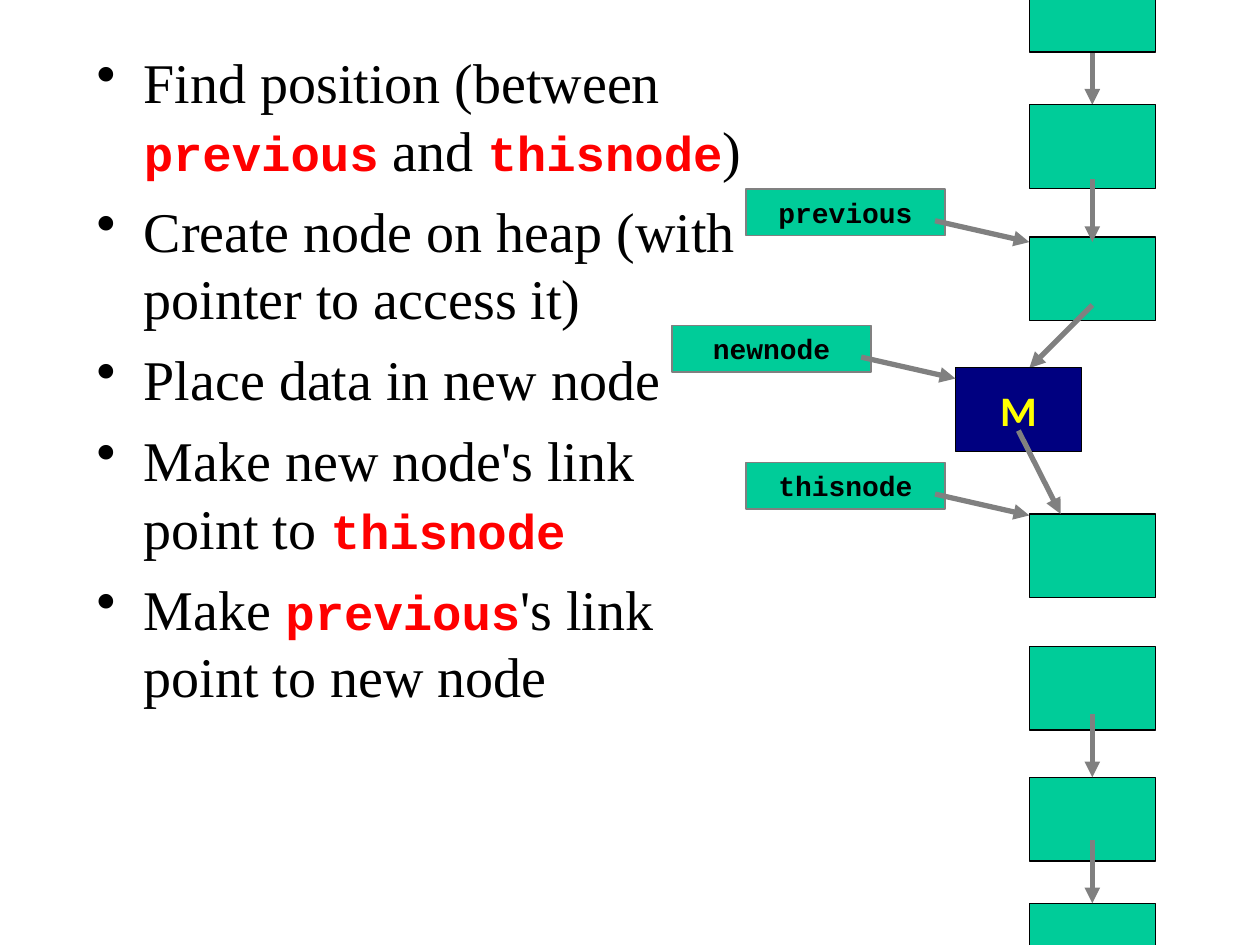
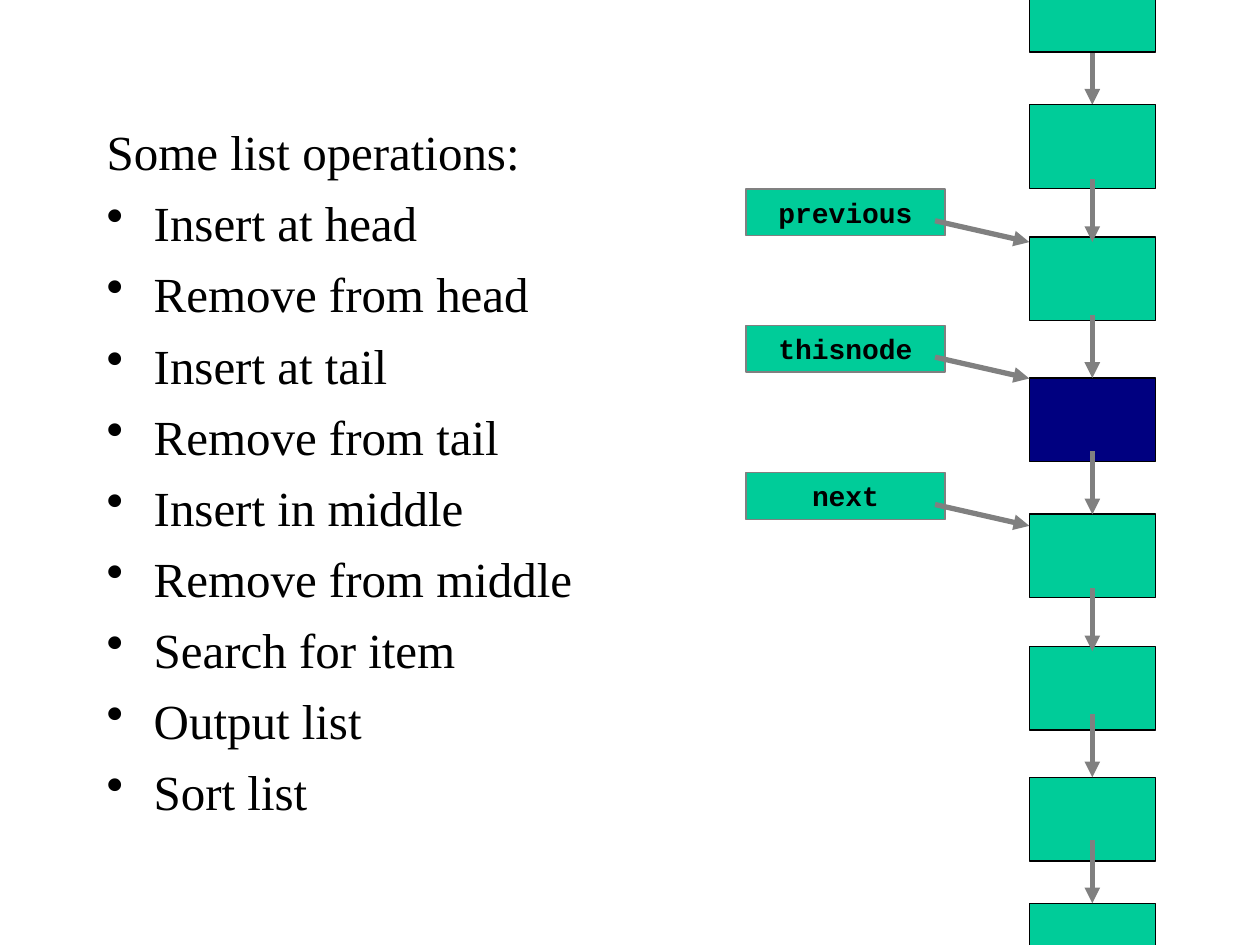
from pptx import Presentation
from pptx import util as u
from pptx.dml import color
from pptx.enum import shapes, text
from pptx.oxml import ns
from lxml import etree

GREEN, NAVY, GRAY = "00CC99", "000080", "808080"
BLACK, RED, YELLOW = "000000", "FF0000", "FFFF00"
SERIF, MONO = "Times New Roman", "Courier New"
NODE_X, NODE_W, NODE_H = 20.75, 2.54, 1.69
MID_X = NODE_X + NODE_W / 2
TAG_X, TAG_W, TAG_H = 15.04, 4.01, 0.94
LINK = 1.27
INDENT = 0.95

STEPS = [
    "Find position (between `previous` and `thisnode`)",
    "Create node on heap (with pointer to access it)",
    "Place data in new node",
    "Make new node's link \npoint to `thisnode`",
    "Make `previous`'s link \npoint to new node",
]
TASKS = [
    "Insert at head", "Remove from head", "Insert at tail",
    "Remove from tail", "Insert in middle", "Remove from middle",
    "Search for item", "Output list", "Sort list",
]


def rgb(value):
    return color.RGBColor.from_string(value)


def add_run(para, words, face, size, tint=BLACK, bold=False):
    run = para.add_run()
    run.text = words
    font = run.font
    font.name, font.size, font.bold = face, u.Pt(size), bold
    font.color.rgb = rgb(tint)


def add_rect(slide, x, y, w, h, fill, edge):
    rect = slide.shapes.add_shape(
        shapes.MSO_SHAPE.RECTANGLE, u.Cm(x), u.Cm(y), u.Cm(w), u.Cm(h))
    rect.shadow.inherit = False
    rect.fill.solid()
    rect.fill.fore_color.rgb = rgb(fill)
    rect.line.color.rgb = rgb(edge)
    rect.line.width = u.Pt(0.75)
    return rect


def add_node(slide, y, x=NODE_X, fill=GREEN):
    return add_rect(slide, x, y, NODE_W, NODE_H, fill, BLACK)


def add_arrow(slide, x1, y1, x2, y2):
    arrow = slide.shapes.add_connector(
        shapes.MSO_CONNECTOR.STRAIGHT, u.Cm(x1), u.Cm(y1), u.Cm(x2), u.Cm(y2))
    arrow.line.color.rgb = rgb(GRAY)
    arrow.line.width = u.Pt(3)
    etree.SubElement(arrow.line._get_or_add_ln(), ns.qn("a:tailEnd"), type="triangle")
    etree.SubElement(arrow._element.spPr, ns.qn("a:effectLst"))


def add_link(slide, y):
    add_arrow(slide, MID_X, y, MID_X, y + LINK)


def add_tag(slide, name, y, x=TAG_X, goal=NODE_X):
    tag = add_rect(slide, x, y, TAG_W, TAG_H, GREEN, GRAY)
    frame = tag.text_frame
    frame.word_wrap = True
    frame.auto_size = text.MSO_AUTO_SIZE.SHAPE_TO_FIT_TEXT
    frame.vertical_anchor = text.MSO_ANCHOR.TOP
    para = frame.paragraphs[0]
    para.alignment = text.PP_ALIGN.CENTER
    add_run(para, name, MONO, 16, bold=True)
    add_arrow(slide, x + 3.81, y + 0.64, goal, y + 1.07)


def add_bullet(para):
    props = para._p.get_or_add_pPr()
    props.set("marL", str(u.Cm(INDENT)))
    props.set("indent", str(-u.Cm(INDENT)))
    tint = etree.SubElement(props, ns.qn("a:buClr"))
    etree.SubElement(tint, ns.qn("a:srgbClr"), val=BLACK)
    etree.SubElement(props, ns.qn("a:buChar"), char="•")


def add_words(para, words, size):
    for i, part in enumerate(words.split("`")):
        for j, line in enumerate(part.split("\n")):
            if j:
                para.add_line_break()
            if i % 2:
                add_run(para, line, MONO, 28, RED, True)
            elif line:
                add_run(para, line, SERIF, size)


def add_list(slide, x, y, w, h, items, size, gap, head=None):
    box = slide.shapes.add_textbox(u.Cm(x), u.Cm(y), u.Cm(w), u.Cm(h))
    frame = box.text_frame
    frame.word_wrap = True
    lines = ([head] if head else []) + items
    for i, words in enumerate(lines):
        para = frame.add_paragraph() if i else frame.paragraphs[0]
        if i:
            para.space_before = u.Pt(gap)
        if words != head:
            add_bullet(para)
        add_words(para, words, size)


def add_chain(slide, links):
    add_link(slide, 0.84)
    for y in (-0.64, 2.11, 4.78, 10.36, 13.03, 15.67, 18.21):
        add_node(slide, y)
    for y in links:
        add_link(slide, y)


def add_insert(slide):
    add_list(slide, 1.7, 0.84, 13.97, 15.88, STEPS, 32, 8)
    add_chain(slide, (3.61, 14.4, 16.94))
    add_tag(slide, "previous", 3.81)
    add_tag(slide, "thisnode", 9.32)
    add_arrow(slide, MID_X, 6.15, NODE_X, 7.42)
    node = add_node(slide, 7.41, 19.26, NAVY)
    frame = node.text_frame
    frame.word_wrap = False
    frame.vertical_anchor = text.MSO_ANCHOR.MIDDLE
    para = frame.paragraphs[0]
    para.alignment = text.PP_ALIGN.CENTER
    add_run(para, "M", "Calibri", 24, YELLOW, True)
    add_tag(slide, "newnode", 6.56, 13.55, 19.26)
    add_arrow(slide, 20.53, 8.68, 21.38, 10.36)


def add_tasks(slide):
    add_list(slide, 1.9, 2.33, 10.58, 14.18, TASKS, 28, 7,
             "Some list operations:")
    add_node(slide, 7.62, fill=NAVY)
    add_chain(slide, (3.61, 6.35, 9.1, 11.86, 14.4, 16.94))
    for name, y in (("previous", 3.81), ("thisnode", 6.56), ("next", 9.53)):
        add_tag(slide, name, y)


def main():
    deck = Presentation()
    deck.slide_width, deck.slide_height = u.Cm(25.4), u.Cm(19.05)
    blank = deck.slide_layouts[6]
    for build in (add_insert, add_tasks):
        build(deck.slides.add_slide(blank))
    deck.save("out.pptx")


if __name__ == "__main__":
    main()
